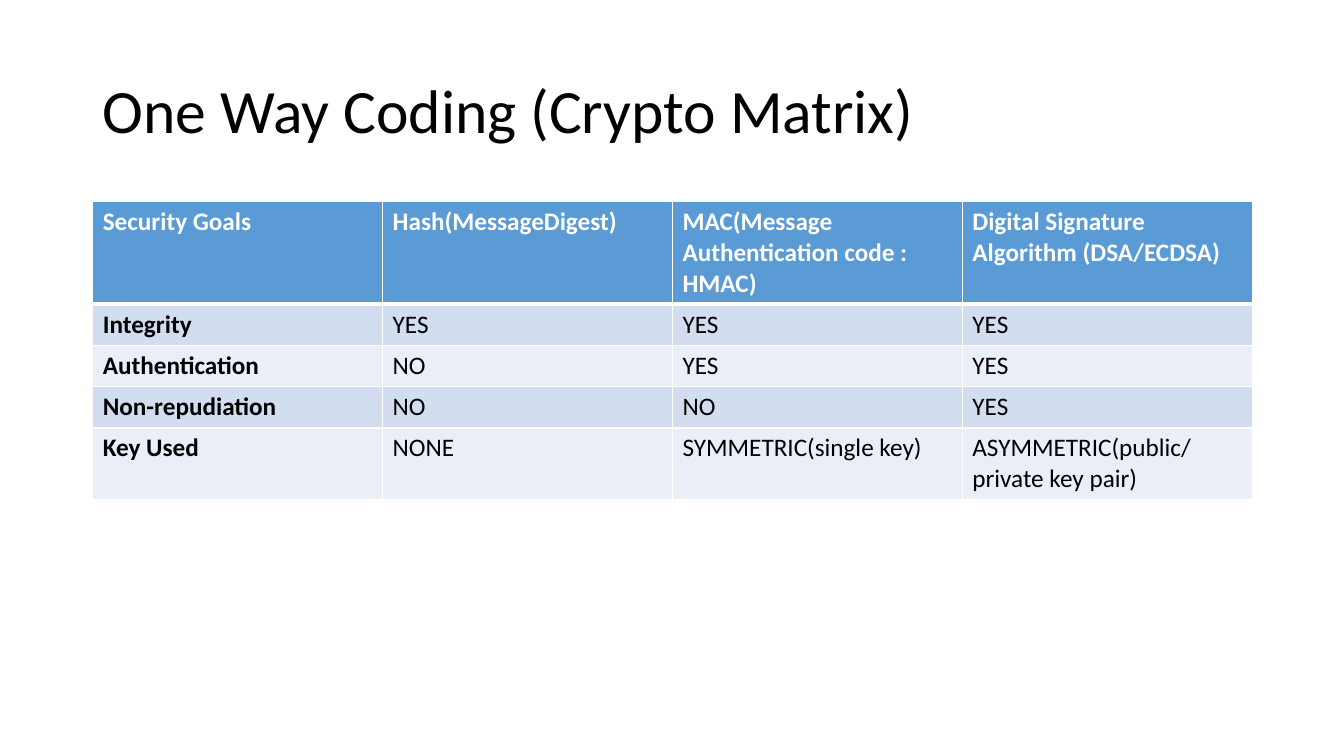
"""Build a slide with a matrix of one-way coding methods and security goals."""
import pptx
import pptx.dml.color
import pptx.enum.text
import pptx.oxml
import pptx.oxml.ns
import pptx.util
from pptx.util import Inches

FONT = "Calibri"
WHITE = "FFFFFF"
BLACK = "000000"
HEADER_FILL = "5B9BD5"
BAND_FILLS = ["D2DEEF", "EAEFF7"]
ROW_HEIGHT = 0.41
GOALS_MATRIX = [
    ["Security Goals", "Hash(MessageDigest)", "MAC(Message Authentication code : HMAC)",
     "Digital Signature Algorithm (DSA/ECDSA)"],
    ["Integrity", "YES", "YES", "YES"],
    ["Authentication", "NO", "YES", "YES"],
    ["Non-repudiation", "NO", "NO", "YES"],
    ["Key Used", "NONE", "SYMMETRIC(single key)", "ASYMMETRIC(public/private key pair)"],
]


def color(hex_code):
    return pptx.dml.color.RGBColor.from_string(hex_code)


def format_paragraph(paragraph, size, hex_code, bold=False):
    paragraph.alignment = pptx.enum.text.PP_ALIGN.LEFT
    paragraph.font.name = FONT
    paragraph.font.size = pptx.util.Pt(size)
    paragraph.font.bold = bold
    paragraph.font.color.rgb = color(hex_code)


def add_title(slide, text):
    title = slide.shapes.title
    title.left, title.top = Inches(0.92), Inches(0.4)
    title.width, title.height = Inches(11.5), Inches(1.45)
    title.text_frame.text = text
    title.text_frame.vertical_anchor = pptx.enum.text.MSO_ANCHOR.MIDDLE
    paragraph = title.text_frame.paragraphs[0]
    paragraph.line_spacing = 0.9
    format_paragraph(paragraph, 44, BLACK)


def set_borders(cell, top, bottom):
    properties = cell._tc.get_or_add_tcPr()
    for side, points in {"L": 1, "R": 1, "T": top, "B": bottom}.items():
        properties.append(pptx.oxml.parse_xml(
            f'<a:ln{side} {pptx.oxml.ns.nsdecls("a")} w="{pptx.util.Pt(points)}">'
            f'<a:solidFill><a:srgbClr val="{WHITE}"/></a:solidFill></a:ln{side}>'))


def fill_cell(cell, text, row, column):
    is_header = row == 0
    set_borders(cell, top=3 if row == 1 else 1, bottom=3 if is_header else 1)
    cell.fill.solid()
    cell.fill.fore_color.rgb = color(HEADER_FILL if is_header else BAND_FILLS[(row - 1) % 2])
    cell.text = text
    format_paragraph(cell.text_frame.paragraphs[0], 18, WHITE if is_header else BLACK,
                     bold=is_header or column == 0)


def add_matrix(slide, rows):
    frame = slide.shapes.add_table(len(rows), len(rows[0]), Inches(0.92), Inches(2),
                                   Inches(11.5), Inches(ROW_HEIGHT * len(rows)))
    for row, texts in enumerate(rows):
        frame.table.rows[row].height = Inches(ROW_HEIGHT)
        for column, text in enumerate(texts):
            fill_cell(frame.table.cell(row, column), text, row, column)


def main():
    presentation = pptx.Presentation()
    presentation.slide_width = Inches(13.33)
    presentation.slide_height = Inches(7.5)
    slide = presentation.slides.add_slide(presentation.slide_layouts.get_by_name("Title Only"))
    add_title(slide, "One Way Coding (Crypto Matrix)")
    add_matrix(slide, GOALS_MATRIX)
    presentation.save("out.pptx")


main()
